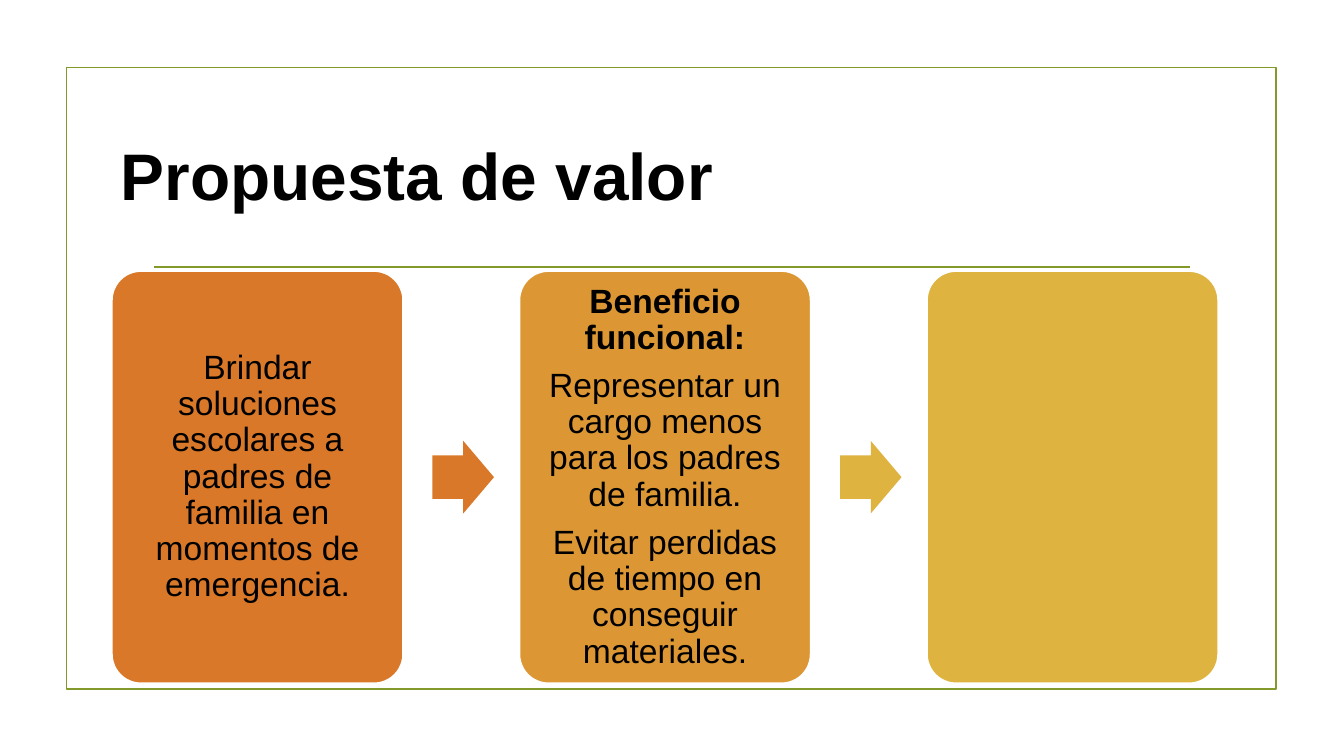
from lxml import etree
from pptx import Presentation
from pptx.dml.color import RGBColor
from pptx.enum.shapes import MSO_CONNECTOR as Link, MSO_SHAPE as Kind
from pptx.enum.text import MSO_ANCHOR as Anchor, MSO_AUTO_SIZE as Fit, PP_ALIGN as Align
from pptx.oxml.ns import qn
from pptx.util import Cm, Pt

TITLE = "Propuesta de valor"
# Each card: fill, paragraphs as (text, bold)
CARDS = [
    ("D97828", [("Brindar soluciones escolares a padres de familia en "
                 "momentos de emergencia.", False)]),
    ("DC9734", [("Beneficio funcional:", True),
                ("Representar un cargo menos para los padres de familia.", False),
                ("Evitar perdidas de tiempo en conseguir materiales.", False)]),
    ("DEB340", []),
]
ARROWS = ["D97828", "DEB340"]
GREEN, WHITE, BLACK = "83992A", "FFFFFF", "000000"

LEFT, TOP, WIDE, HIGH = 2.82, 6.83, 7.34, 10.39
STEP = 10.27
ARROW_W, ARROW_H, ARROW_X = 1.55, 1.83, 8.08


def color(code):
    return RGBColor.from_string(code)


def stroke(line, code):
    line.color.rgb = color(code)
    line.width = Pt(1.25)


def draw(kind, x, y, w, h, fill=None, edge=None, adj=()):
    shape = slide.shapes.add_shape(kind, Cm(x), Cm(y), Cm(w), Cm(h))
    shape.shadow.inherit = False
    if fill:
        shape.fill.solid()
        shape.fill.fore_color.rgb = color(fill)
    else:
        shape.fill.background()
    if edge:
        stroke(shape.line, edge)
    else:
        shape.line.fill.background()
    for i, value in enumerate(adj):
        shape.adjustments[i] = value
    return shape


def write(para, text, size=24, bold=False, align=Align.CENTER, before=0):
    para.text = text
    para.alignment = align
    para.line_spacing = 0.9
    para.space_before = Pt(before)
    font = para.font
    font.name, font.size, font.bold = "Arial", Pt(size), bold
    font.color.rgb = color(BLACK)


deck = Presentation()
deck.slide_width, deck.slide_height = Cm(33.87), Cm(19.05)
slide = deck.slides.add_slide(deck.slide_layouts[5])

draw(Kind.RECTANGLE, 1.68, 1.7, 30.48, 15.67, edge=GREEN)
rule = slide.shapes.add_connector(Link.STRAIGHT, Cm(3.89), Cm(6.73), Cm(30), Cm(6.73))
stroke(rule.line, GREEN)
etree.SubElement(rule._element.spPr, qn("a:effectLst"))

title = slide.shapes.title
title.left, title.top, title.width, title.height = Cm(2.79), Cm(3.48), Cm(17.6), Cm(3.53)
frame = title.text_frame
frame.auto_size = Fit.NONE
frame.vertical_anchor = Anchor.TOP
write(frame.paragraphs[0], TITLE, size=47, bold=True, align=Align.LEFT)

for n, (fill, paras) in enumerate(CARDS):
    card = draw(Kind.ROUNDED_RECTANGLE, LEFT + n * STEP, TOP, WIDE, HIGH,
                fill, WHITE, [0.1])
    frame = card.text_frame
    frame.word_wrap = True
    frame.vertical_anchor = Anchor.MIDDLE
    frame.margin_left = frame.margin_right = Cm(0.25)
    frame.margin_top = frame.margin_bottom = Cm(0.25)
    for i, (text, bold) in enumerate(paras):
        para = frame.add_paragraph() if i else frame.paragraphs[0]
        write(para, text, bold=bold, before=8.4 if i else 0)

for n, fill in enumerate(ARROWS):
    draw(Kind.RIGHT_ARROW, LEFT + n * STEP + ARROW_X, TOP + (HIGH - ARROW_H) / 2,
         ARROW_W, ARROW_H, fill, adj=[0.6, 0.5])

deck.save("out.pptx")
